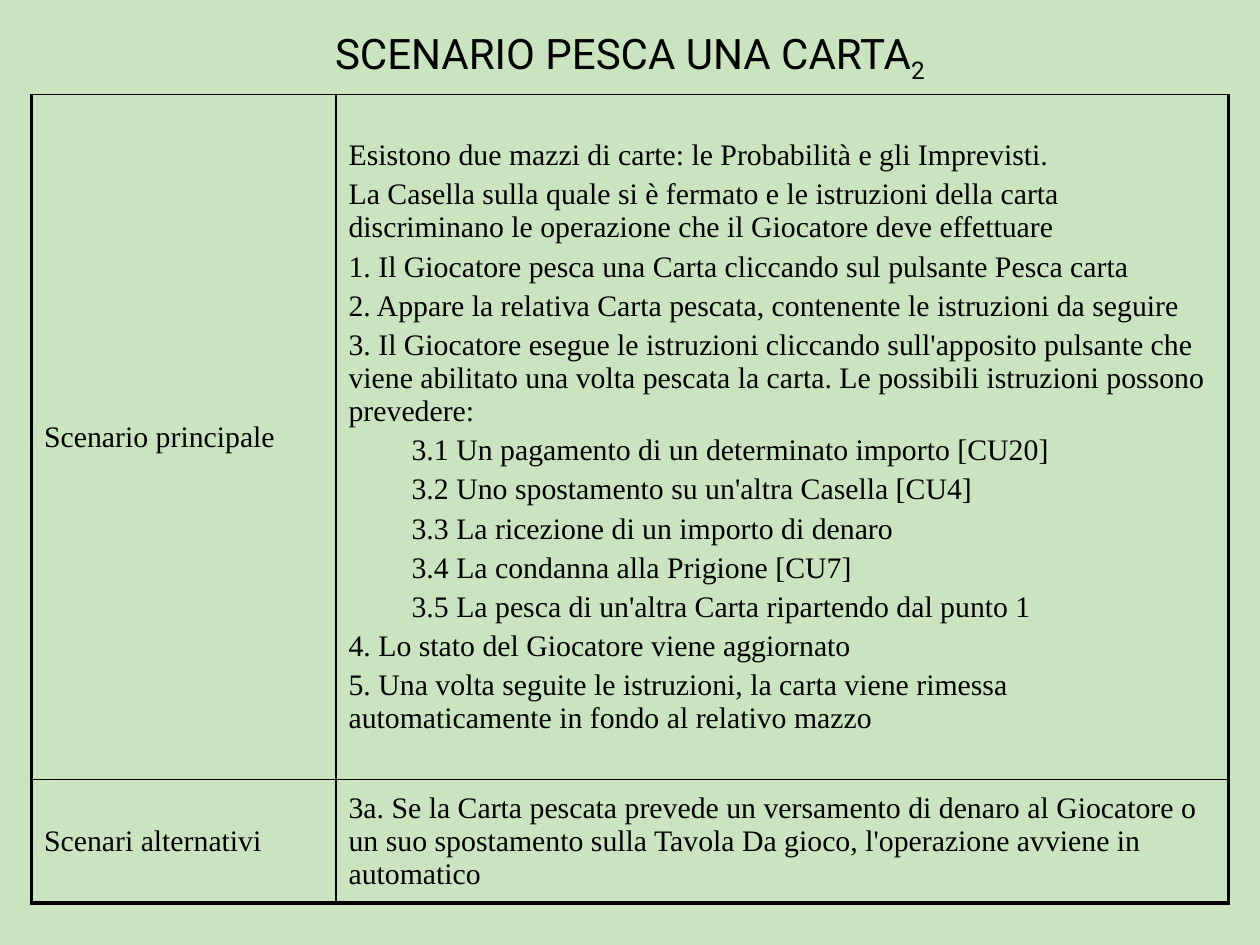
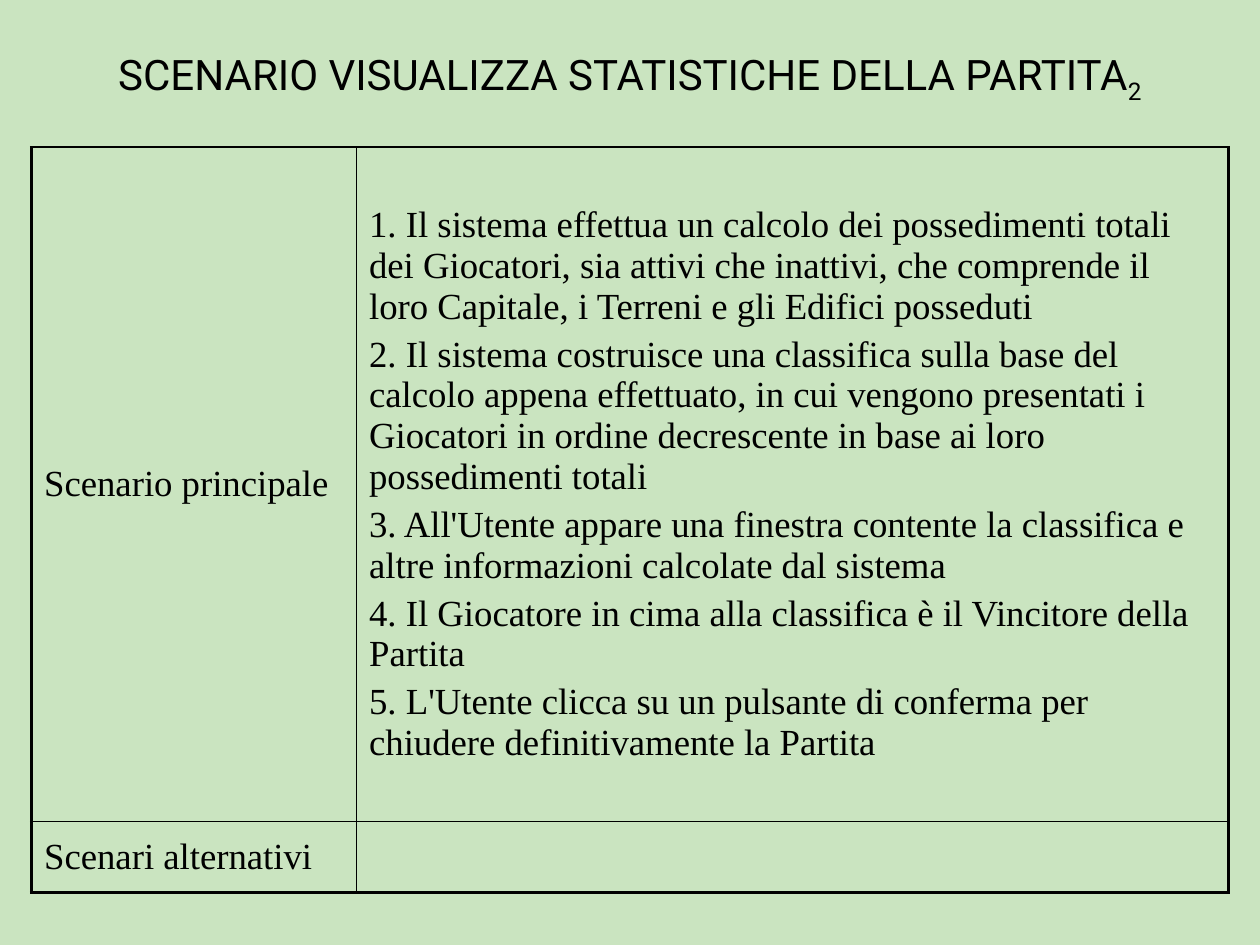
from lxml.etree import SubElement as Sub
from pptx import Presentation
from pptx.dml.color import RGBColor as Rgb
from pptx.enum.text import MSO_ANCHOR as Anchor, PP_ALIGN as Align
from pptx.oxml.ns import qn
from pptx.util import Pt

# Content: a leading tab marks an indented sub-step
MAIN, OTHER = "Scenario principale", "Scenari alternativi"
DRAW = [
    "Esistono due mazzi di carte: le Probabilità e gli Imprevisti.",
    "La Casella sulla quale si è fermato e le istruzioni della carta discriminano "
    "le operazione che il Giocatore deve effettuare",
    "1. Il Giocatore pesca una Carta cliccando sul pulsante Pesca carta",
    "2. Appare la relativa Carta pescata, contenente le istruzioni da seguire",
    "3. Il Giocatore esegue le istruzioni cliccando sull'apposito pulsante che "
    "viene abilitato una volta pescata la carta. Le possibili istruzioni possono prevedere:",
    "\t3.1 Un pagamento di un determinato importo [CU20]",
    "\t3.2 Uno spostamento su un'altra Casella [CU4]",
    "\t3.3 La ricezione di un importo di denaro",
    "\t3.4 La condanna alla Prigione [CU7]",
    "\t3.5 La pesca di un'altra Carta ripartendo dal punto 1",
    "4. Lo stato del Giocatore viene aggiornato",
    "5. Una volta seguite le istruzioni, la carta viene rimessa automaticamente "
    "in fondo al relativo mazzo",
]
DRAW_ALT = [
    "3a. Se la Carta pescata prevede un versamento di denaro al Giocatore o un suo "
    "spostamento sulla Tavola Da gioco, l'operazione avviene in automatico",
]
STATS = [
    "1. Il sistema effettua un calcolo dei possedimenti totali dei Giocatori, sia "
    "attivi che inattivi, che comprende il loro Capitale, i Terreni e gli Edifici posseduti",
    "2. Il sistema costruisce una classifica sulla base del calcolo appena effettuato, "
    "in cui vengono presentati i Giocatori in ordine decrescente in base ai loro "
    "possedimenti totali",
    "3. All'Utente appare una finestra contente la classifica e altre informazioni "
    "calcolate dal sistema",
    "4. Il Giocatore in cima alla classifica è il Vincitore della Partita",
    "5. L'Utente clicca su un pulsante di conferma per chiudere definitivamente la Partita",
]
SLIDES = [
    dict(title="SCENARIO PESCA UNA CARTA", head=12, top=54, size=17,
         label=174, rows=[391.5, 70.5], steps=[DRAW, DRAW_ALT]),
    dict(title="SCENARIO VISUALIZZA STATISTICHE DELLA PARTITA", head=24, top=84, size=21,
         label=185.75, rows=[385.5, 40.5], steps=[STATS, []]),
]

# Shared style
HEX = {"back": "CAE4C0", "ink": "000000"}
WIDE, HIGH, EDGE = 720, 540, 18
THIN, THICK = 1, 2.25


def write(frame, lines, font="Times New Roman", size=17, align=Align.LEFT, sub=""):
    """Fill a text frame; sub is a subscript closing the last line."""
    for i, line in enumerate(lines):
        para = frame.paragraphs[0] if i == 0 else frame.add_paragraph()
        para.alignment = align
        para.space_before = Pt(size * 0.2 if i else 0)
        if line.startswith("\t"):
            para._p.get_or_add_pPr().set("marL", str(Pt(36)))
        last = sub if i == len(lines) - 1 else ""
        for part in filter(None, (line.strip(), last)):
            run = para.add_run()
            run.text = part
            run.font.name, run.font.size = font, Pt(size)
            run.font.color.rgb = Rgb.from_string(HEX["ink"])
        if last:
            run._r.get_or_add_rPr().set("baseline", "-25000")


def frame_cell(cell, **sides):
    """Draw the borders of a cell, widths by side."""
    props = cell._tc.get_or_add_tcPr()
    for side, width in sides.items():
        line = Sub(props, qn(f"a:ln{side}"), w=str(Pt(width)))
        Sub(Sub(line, qn("a:solidFill")), qn("a:srgbClr"), val=HEX["ink"])
    cell.fill.background()


def add_title(slide, text, top):
    box = slide.shapes.add_textbox(Pt(0), Pt(top), Pt(WIDE), Pt(30))
    box.text_frame.word_wrap = True
    write(box.text_frame, [text], font="Roboto", size=24, align=Align.CENTER, sub="2")


def add_grid(slide, top, size, label, rows, steps):
    width = WIDE - 2 * EDGE
    grid = slide.shapes.add_table(2, 2, Pt(EDGE), Pt(top), Pt(width), Pt(sum(rows))).table
    grid.first_row = grid.horz_banding = False
    for col, wide in zip(grid.columns, (label, width - label)):
        col.width = Pt(wide)
    for r, (name, text) in enumerate(zip((MAIN, OTHER), steps)):
        grid.rows[r].height = Pt(rows[r])
        for c, lines in enumerate(([name], text)):
            cell = grid.cell(r, c)
            frame_cell(cell, L=THIN if c else THICK, R=THICK if c else THIN,
                       T=THIN, B=THICK if r else THIN)
            cell.vertical_anchor = Anchor.MIDDLE
            write(cell.text_frame, lines, size=size)


def main():
    deck = Presentation()
    deck.slide_width, deck.slide_height = Pt(WIDE), Pt(HIGH)
    for page in SLIDES:
        slide = deck.slides.add_slide(deck.slide_layouts[6])
        fill = slide.background.fill
        fill.solid()
        fill.fore_color.rgb = Rgb.from_string(HEX["back"])
        add_grid(slide, page["top"], page["size"], page["label"], page["rows"], page["steps"])
        add_title(slide, page["title"], page["head"])
    deck.save("out.pptx")


if __name__ == "__main__":
    main()
